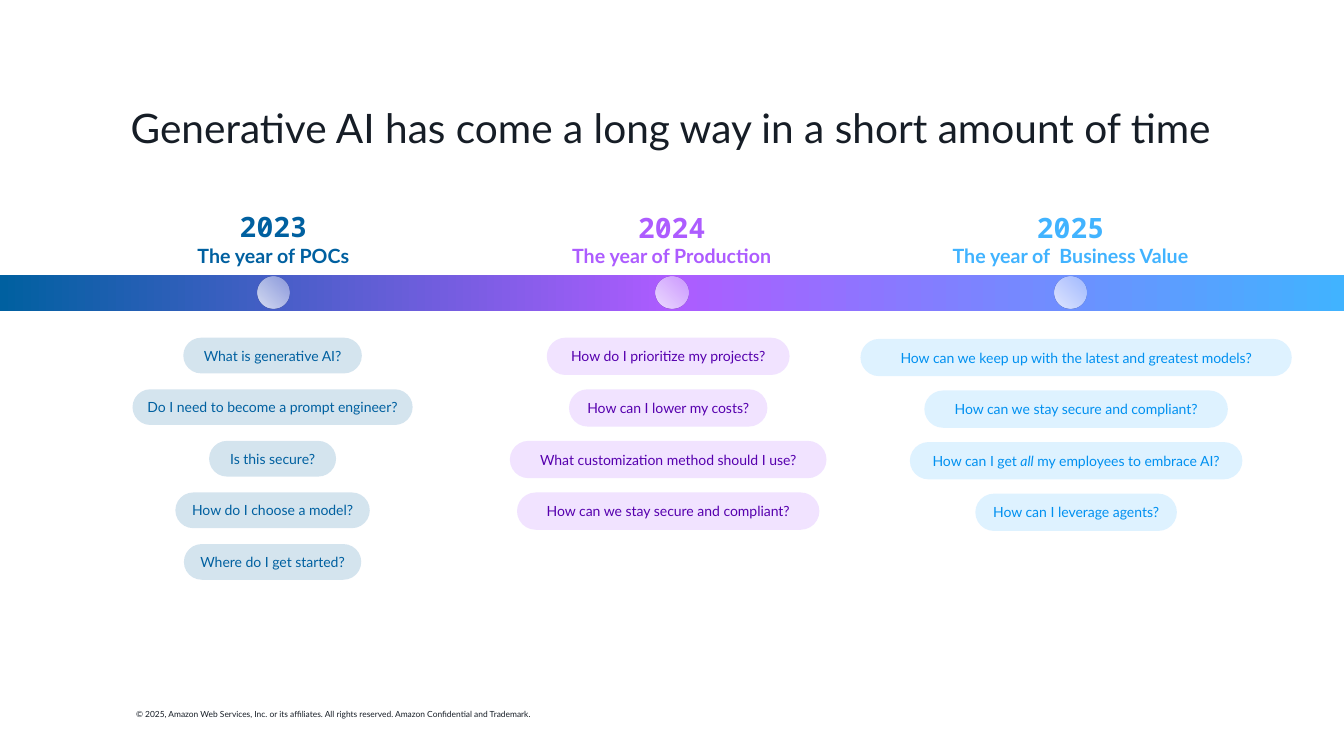
"""Build a timeline slide on three years of generative AI."""
from dataclasses import dataclass

from lxml.etree import SubElement
from pptx import Presentation
from pptx.dml.color import RGBColor
from pptx.enum.shapes import MSO_SHAPE
from pptx.enum.text import MSO_ANCHOR, MSO_AUTO_SIZE, PP_ALIGN
from pptx.oxml.ns import qn
from pptx.shapes.autoshape import Shape
from pptx.slide import Slide
from pptx.text.text import TextFrame
from pptx.util import Cm, Pt

INK = RGBColor(0x16, 0x1D, 0x26)
WHITE = RGBColor(0xFF, 0xFF, 0xFF)
BLUE = RGBColor(0x00, 0x60, 0xA0)
PURPLE = RGBColor(0xAD, 0x5C, 0xFF)
SKY = RGBColor(0x41, 0xB3, 0xFF)
DEEP_PURPLE = RGBColor(0x56, 0x00, 0xAE)
BRIGHT_BLUE = RGBColor(0x00, 0x90, 0xF0)

SLIDE_WIDTH, SLIDE_HEIGHT = 33.87, 19.05
BAND_TOP, BAND_HEIGHT = 6.93, 0.91
MARKER_TOP, MARKER_SIZE = 6.96, 0.82
HEADING_HEIGHT = 1.7
QUESTION_PITCH = 1.3
PILL_OPACITY = 17

TITLE_FORMAT = {"name": "Lato", "size": Pt(29), "bold": False}
YEAR_FORMAT = {"name": "Noto Sans Mono", "size": Pt(20), "bold": True}
THEME_FORMAT = {"name": "Lato", "size": Pt(14), "bold": True}
QUESTION_FORMAT = {"name": "Lato", "size": Pt(10)}
COPYRIGHT_FORMAT = {"name": "Lato", "size": Pt(6)}


@dataclass(frozen=True)
class Stop:
    position: int
    color: RGBColor
    opacity: int = 100


@dataclass(frozen=True)
class Question:
    """A question whose emphasised words stand between asterisks."""
    text: str
    width: float


@dataclass(frozen=True)
class Year:
    name: str
    theme: str
    color: RGBColor
    question_color: RGBColor
    center: float
    heading_top: float
    heading_width: float
    pill_center: float
    pill_top: float
    pill_height: float
    questions: tuple[Question, ...]


YEARS = (
    Year("2023", "The year of POCs", BLUE, BLUE, 6.89, 5.16, 5.21, 6.87, 8.51, 0.9, (
        Question("What is generative AI?", 4.5),
        Question("Do I need to become a prompt engineer?", 7.06),
        Question("Is this secure?", 3.2),
        Question("How do I choose a model?", 4.9),
        Question("Where do I get started?", 4.47),
    )),
    Year("2024", "The year of Production", PURPLE, DEEP_PURPLE, 16.93, 5.18, 5.72, 16.84, 8.51, 0.94, (
        Question("How do I prioritize my projects?", 6.12),
        Question("How can I lower my costs?", 5),
        Question("What customization method should I use?", 7.98),
        Question("How can we stay secure and compliant?", 7.62),
    )),
    Year("2025", "The year of  Business Value", SKY, BRIGHT_BLUE, 26.98, 5.18, 6.43, 27.12, 8.54, 0.94, (
        Question("How can we keep up with the latest and greatest models?", 10.87),
        Question("How can we stay secure and compliant?", 7.65),
        Question("How can I get *all* my employees to embrace AI?", 8.38),
        Question("How can I leverage agents?", 5.08),
    )),
)


def write_line(frame: TextFrame, text: str, formats: dict, color: RGBColor,
               align: PP_ALIGN = PP_ALIGN.CENTER, first: bool = True) -> None:
    """Write one paragraph, with italics between asterisks."""
    line = frame.paragraphs[0] if first else frame.add_paragraph()
    line.alignment = align
    for index, part in enumerate(text.split("*")):
        run = line.add_run()
        run.text = part
        for attribute, value in formats.items():
            setattr(run.font, attribute, value)
        run.font.color.rgb = color
        if index % 2:
            run.font.italic = True


def set_margins(frame: TextFrame, side: float, end: float) -> None:
    """Set the side margins and the top and bottom margins in centimetres."""
    margins = {"margin_left": side, "margin_right": side, "margin_top": end, "margin_bottom": end}
    for attribute, value in margins.items():
        setattr(frame, attribute, Cm(value))


def add_plain_shape(slide: Slide, kind: MSO_SHAPE, left: float, top: float,
                    width: float, height: float) -> Shape:
    """Add a shape without shadow, line or fill."""
    shape = slide.shapes.add_shape(kind, Cm(left), Cm(top), Cm(width), Cm(height))
    shape.shadow.inherit = False
    shape.line.fill.background()
    shape.fill.background()
    return shape


def fill_gradient(shape: Shape, stops: tuple[Stop, ...], radial: bool = False) -> None:
    """Give a shape a left-to-right gradient, or one spreading from its top right."""
    properties = shape.element.spPr
    empty_fill = properties.find(qn("a:noFill"))
    gradient = SubElement(properties, qn("a:gradFill"), rotWithShape="1")
    properties.replace(empty_fill, gradient)
    stop_list = SubElement(gradient, qn("a:gsLst"))
    for stop in stops:
        entry = SubElement(stop_list, qn("a:gs"), pos=str(stop.position * 1000))
        color = SubElement(entry, qn("a:srgbClr"), val=str(stop.color))
        if stop.opacity < 100:
            SubElement(color, qn("a:alpha"), val=str(stop.opacity * 1000))
    if radial:
        spread = SubElement(gradient, qn("a:path"), {"path": "circle"})
        SubElement(spread, qn("a:fillToRect"), l="100000", b="100000")
    else:
        SubElement(gradient, qn("a:lin"), ang="0", scaled="0")


def add_title(slide: Slide) -> None:
    """Place and write the title."""
    title = slide.shapes.title
    place = {"left": 1.65, "top": 2.54, "width": 30.53, "height": 1.5}
    for attribute, value in place.items():
        setattr(title, attribute, Cm(value))
    frame = title.text_frame
    frame.auto_size = MSO_AUTO_SIZE.NONE
    frame.vertical_anchor = MSO_ANCHOR.MIDDLE
    write_line(frame, "Generative AI has come a long way in a short amount of time", TITLE_FORMAT, INK)
    frame.paragraphs[0].line_spacing = 0.9


def add_copyright(slide: Slide) -> None:
    """Add the copyright line at the foot."""
    notice = slide.shapes.add_textbox(Cm(3.18), Cm(17.75), Cm(10.95), Cm(0.51)).text_frame
    notice.word_wrap = False
    notice.auto_size = MSO_AUTO_SIZE.SHAPE_TO_FIT_TEXT
    write_line(notice, "© 2025, Amazon Web Services, Inc. or its affiliates. All rights reserved. "
               "Amazon Confidential and Trademark.", COPYRIGHT_FORMAT, INK, PP_ALIGN.LEFT)


def add_heading(slide: Slide, year: Year) -> None:
    """Add a year with its theme and its marker on the band."""
    heading = slide.shapes.add_textbox(
        Cm(year.center - year.heading_width / 2), Cm(year.heading_top),
        Cm(year.heading_width), Cm(HEADING_HEIGHT)).text_frame
    heading.word_wrap = True
    heading.auto_size = MSO_AUTO_SIZE.SHAPE_TO_FIT_TEXT
    set_margins(heading, 0, 0.13)
    write_line(heading, year.name, YEAR_FORMAT, year.color)
    write_line(heading, year.theme, THEME_FORMAT, year.color, first=False)
    marker = add_plain_shape(slide, MSO_SHAPE.OVAL, year.center - MARKER_SIZE / 2, MARKER_TOP,
                             MARKER_SIZE, MARKER_SIZE)
    fill_gradient(marker, (Stop(0, WHITE, 35), Stop(97, WHITE, 77)), radial=True)


def add_questions(slide: Slide, year: Year) -> None:
    """Stack the questions of a year as centred pills."""
    for row, question in enumerate(year.questions):
        pill = add_plain_shape(slide, MSO_SHAPE.ROUNDED_RECTANGLE,
                               year.pill_center - question.width / 2,
                               year.pill_top + row * QUESTION_PITCH,
                               question.width, year.pill_height)
        pill.adjustments[0] = 0.5
        pill.fill.solid()
        pill.fill.fore_color.rgb = year.color
        color = pill.element.spPr.find(qn("a:solidFill")).find(qn("a:srgbClr"))
        SubElement(color, qn("a:alpha"), val=str(PILL_OPACITY * 1000))
        frame = pill.text_frame
        frame.word_wrap = True
        frame.vertical_anchor = MSO_ANCHOR.MIDDLE
        set_margins(frame, 0, 0)
        write_line(frame, question.text, QUESTION_FORMAT, year.question_color)


def main() -> None:
    """Build and save the slide."""
    deck = Presentation()
    deck.slide_width, deck.slide_height = Cm(SLIDE_WIDTH), Cm(SLIDE_HEIGHT)
    slide = deck.slides.add_slide(deck.slide_layouts[5])
    add_copyright(slide)
    add_title(slide)
    band = add_plain_shape(slide, MSO_SHAPE.RECTANGLE, 0, BAND_TOP, SLIDE_WIDTH, BAND_HEIGHT)
    fill_gradient(band, (Stop(0, BLUE), Stop(50, PURPLE), Stop(100, SKY)))
    for year in YEARS:
        add_heading(slide, year)
        add_questions(slide, year)
    deck.save("out.pptx")


if __name__ == "__main__":
    main()
